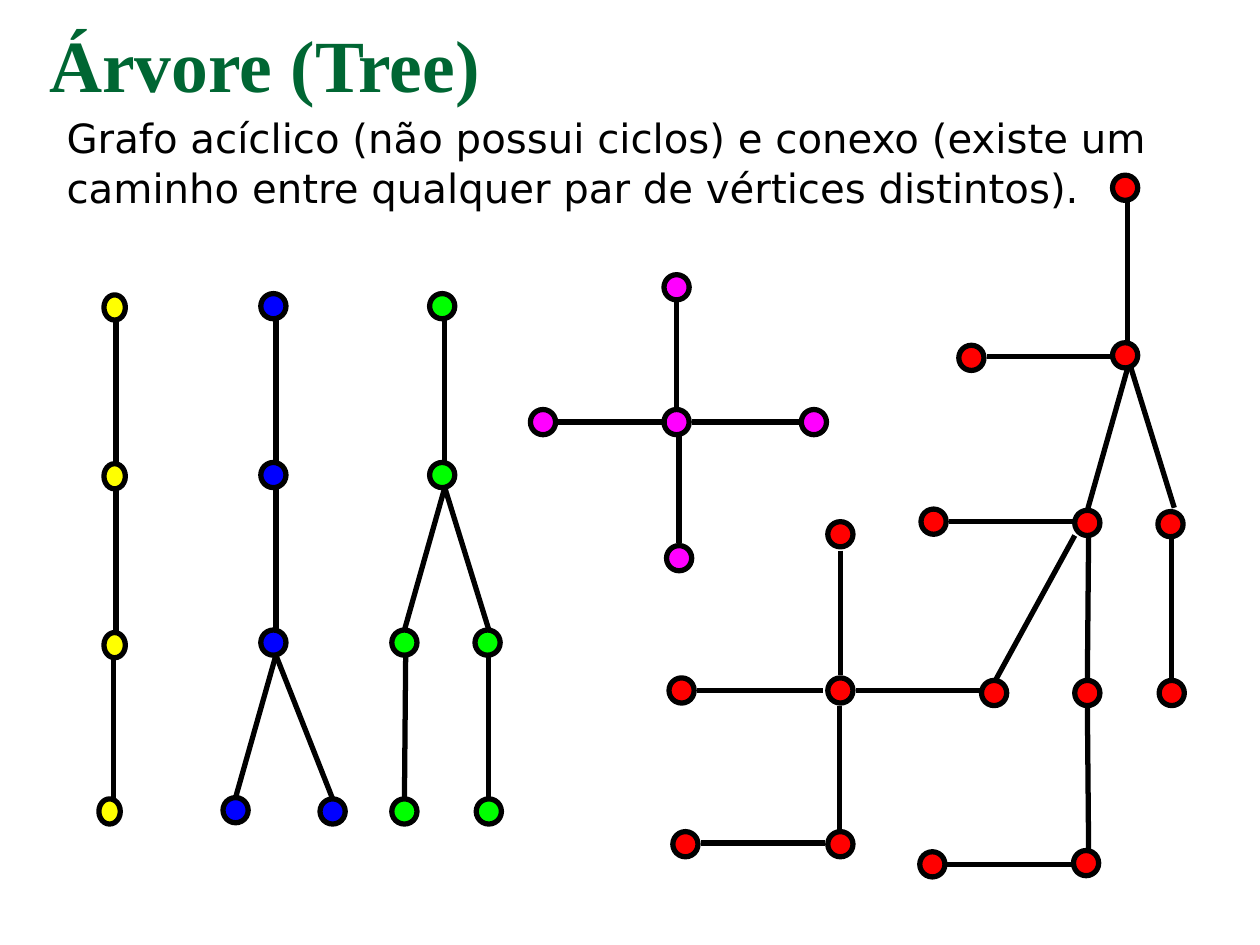
from pptx import Presentation
from pptx.dml.color import RGBColor
from pptx.enum.shapes import MSO_CONNECTOR as Connector, MSO_SHAPE as Shape
from pptx.enum.text import MSO_ANCHOR as Anchor, MSO_AUTO_SIZE as AutoSize, PP_ALIGN as Align
from pptx.util import Inches, Pt
from lxml.etree import SubElement
from pptx.oxml.ns import qn

COLUMNS, ROWS = 100, 75
COLORS = {
    "title": "006633", "black": "000000", "white": "FFFFFF", "yellow": "FFFF00",
    "blue": "0000FF", "green": "00FF00", "red": "FF0000", "magenta": "FF00FF",
}

# Each tree: colour, vertex size before its quarter turn, vertex centres,
# and edges as x1, y1, x2, y2; all in grid columns and rows.
TREES = [
    ("yellow", (2, 1.7),
     [(8.7, 64.4), (9.1, 51.2), (9.1, 37.8), (9.1, 24.4)],
     [(9, 52, 9, 63.4), (9.2, 38.9, 9.2, 50.2), (9.2, 25.4, 9.2, 36.8)]),
    ("blue", (2, 2),
     [(18.7, 64.3), (21.7, 51), (21.7, 37.7), (21.7, 24.3), (26.4, 64.4)],
     [(21.9, 52, 18.7, 63.3), (21.9, 38.7, 21.9, 50), (21.9, 25.3, 21.9, 36.7),
      (21.9, 52, 26.4, 63.4)]),
    ("green", (2, 2),
     [(32.1, 51), (35.1, 37.7), (35.1, 24.3), (38.7, 51), (32.1, 64.4), (38.8, 64.4)],
     [(35.3, 38.7, 32.1, 50), (35.3, 25.3, 35.3, 36.7), (35.3, 38.7, 38.8, 50),
      (32.2, 52, 32.1, 63.4), (38.8, 52, 38.8, 63.4)]),
    ("red", (2, 2),
     [(86.3, 41.5), (89.3, 28.2), (89.3, 14.9), (92.9, 41.6), (86.3, 55), (93, 55),
      (78.9, 55), (74.1, 41.4), (86.2, 68.5), (66.7, 54.8), (77.1, 28.4), (74, 68.6),
      (54.1, 54.8), (66.7, 67), (54.4, 67), (66.7, 42.4)],
     [(89.5, 29.2, 86.3, 40.5), (89.5, 15.9, 89.5, 27.2), (89.7, 29, 93.2, 40.3),
      (86.4, 42.5, 86.3, 53.9), (93, 42.5, 93, 54), (85.3, 42.5, 79, 54),
      (85.2, 41.4, 75.3, 41.4), (86.3, 56, 86.4, 67.4), (77.8, 54.8, 67.9, 54.8),
      (88.2, 28.3, 78.3, 28.3), (85.1, 68.6, 75.2, 68.6), (65.3, 54.8, 55.3, 54.8),
      (66.6, 56, 66.6, 65.9), (65.5, 66.9, 55.6, 66.9), (66.7, 43.7, 66.7, 53.6)]),
    ("magenta", (2, 2),
     [(43.1, 33.5), (64.6, 33.5), (53.9, 44.3), (53.7, 22.8), (53.7, 33.5)],
     [(44.1, 33.5, 52.9, 33.5), (54.9, 33.5, 63.6, 33.5), (53.9, 34.5, 53.9, 43.1),
      (53.7, 32.5, 53.7, 23.8)]),
]


def rgb(name):
    return RGBColor.from_string(COLORS[name])


def write(frame, text, font, size, color="black", bold=False, top=0.05, spacing=1.0):
    frame.word_wrap = True
    frame.auto_size = AutoSize.NONE
    frame.vertical_anchor = Anchor.TOP
    frame.margin_left = frame.margin_right = Inches(0.1)
    frame.margin_top, frame.margin_bottom = Inches(top), Inches(0.05)
    para = frame.paragraphs[0]
    para.alignment = Align.LEFT
    para.line_spacing = spacing
    span = para.add_run()
    span.text = text
    span.font.name, span.font.size, span.font.bold = font, Pt(size), bold
    span.font.color.rgb = rgb(color)


class TreeSlide:
    """Holds the grid, the line style and the current slide."""

    line_width = Pt(3)

    def __init__(self, deck):
        self.column = deck.slide_width / COLUMNS
        self.row = deck.slide_height / ROWS
        self.page = deck.slides.add_slide(deck.slide_layouts[5])
        self.page.background.fill.solid()
        self.page.background.fill.fore_color.rgb = rgb("white")

    def place(self, x, y):
        return round(x * self.column), round(y * self.row)

    def title(self, x, y, width, height, text, **style):
        box = self.page.shapes.title
        box.left, box.top = self.place(x, y)
        box.width, box.height = self.place(width, height)
        write(box.text_frame, text, **style)

    def text(self, x, y, width, height, text, **style):
        box = self.page.shapes.add_textbox(*self.place(x, y), *self.place(width, height))
        write(box.text_frame, text, **style)

    def outline(self, line):
        line.color.rgb = rgb("black")
        line.width = self.line_width

    def vertex(self, group, center, size, color):
        (x, y), (width, height) = center, size
        dot = group.shapes.add_shape(
            Shape.OVAL, *self.place(x - width / 2, y - height / 2), *self.place(width, height))
        dot.rotation = 270
        dot.shadow.inherit = False
        dot.fill.solid()
        dot.fill.fore_color.rgb = rgb(color)
        self.outline(dot.line)

    def edge(self, group, x1, y1, x2, y2):
        line = group.shapes.add_connector(
            Connector.STRAIGHT, *self.place(x1, y1), *self.place(x2, y2))
        self.outline(line.line)
        SubElement(line._element.spPr, qn("a:effectLst"))

    def tree(self, color, size, vertices, edges):
        group = self.page.shapes.add_group_shape()
        for center in vertices:
            self.vertex(group, center, size, color)
        for ends in edges:
            self.edge(group, *ends)


def main():
    deck = Presentation()
    deck.slide_width, deck.slide_height = Inches(10), Inches(7.5)
    slide = TreeSlide(deck)
    slide.title(2.9, 0.3, 94.2, 4.6, "Árvore (Tree)", font="Times New Roman",
                size=42, color="title", bold=True, top=0.12)
    slide.text(4.3, 8.4, 92.9, 8.7,
               "Grafo acíclico (não possui ciclos) e conexo (existe um "
               "caminho entre qualquer par de vértices distintos).",
               font="DejaVu Sans", size=23, spacing=1.03)
    for tree in TREES:
        slide.tree(*tree)
    deck.save("out.pptx")


if __name__ == "__main__":
    main()
